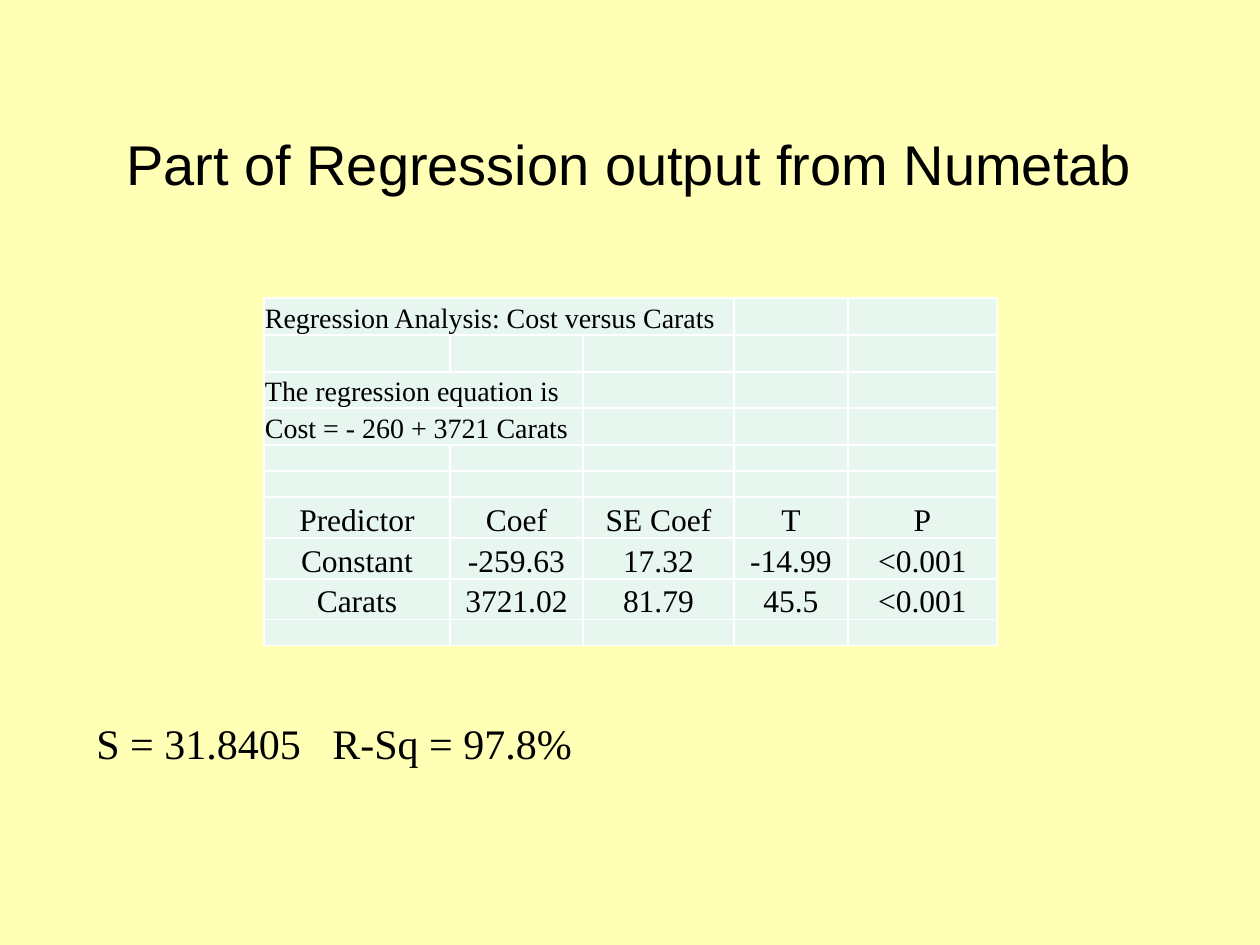
"""Build a slide that shows part of a regression output."""
from lxml.etree import SubElement
from pptx import Presentation
from pptx.dml.color import RGBColor
from pptx.enum.text import MSO_ANCHOR, PP_ALIGN
from pptx.oxml.ns import qn
from pptx.util import Pt

SCALE = 914400 // 126
INK = {"page": "FFFFB6", "cell": "E7F6EF", "line": "FFFFFF", "text": "000000"}
SERIF = "Times New Roman"
COLS = [186, 133, 151, 114, 149]
ROWS = [37, 37, 36, 37, 26, 26, 41, 41, 41, 26]
HEADS = {
    0: ("Regression Analysis: Cost versus Carats", 3),
    2: ("The regression equation is", 2),
    3: ("Cost = - 260 + 3721 Carats", 2),
}
STATS = {
    6: ["Predictor", "Coef", "SE Coef", "T", "P"],
    7: ["Constant", "-259.63", "17.32", "-14.99", "<0.001"],
    8: ["Carats", "3721.02", "81.79", "45.5", "<0.001"],
}


def px(num):
    return round(num * SCALE)


def paint(fill, name):
    fill.solid()
    fill.fore_color.rgb = RGBColor.from_string(INK[name])


def write(frame, text, size, face, align=PP_ALIGN.LEFT):
    frame.text = text
    para = frame.paragraphs[0]
    para.alignment = align
    for run in para.runs:
        run.font.size = Pt(size)
        run.font.name = face
        run.font.color.rgb = RGBColor.from_string(INK["text"])
    return para


def add_text(slide, box, text, size, face, align, anchor):
    frame = slide.shapes.add_textbox(*map(px, box)).text_frame
    frame.word_wrap = True
    frame.vertical_anchor = anchor
    return write(frame, text, size, face, align)


def add_tab(para, stop):
    tabs = SubElement(para._p.get_or_add_pPr(), qn("a:tabLst"))
    SubElement(tabs, qn("a:tab"), pos=str(px(stop)), algn="l")


def style(cell):
    cell.margin_left = cell.margin_right = cell.margin_top = px(1)
    cell.margin_bottom = 0
    cell.vertical_anchor = MSO_ANCHOR.BOTTOM
    props = cell._tc.get_or_add_tcPr()
    for side in "LRTB":
        line = SubElement(props, qn("a:ln" + side), w=str(Pt(1)))
        fill = SubElement(line, qn("a:solidFill"))
        SubElement(fill, qn("a:srgbClr"), val=INK["line"])
    paint(cell.fill, "cell")
    para = cell.text_frame.paragraphs[0]
    if not para.runs:
        SubElement(para._p, qn("a:endParaRPr"), sz="1000")


def add_grid(slide, left, top):
    shape = slide.shapes.add_table(
        len(ROWS), len(COLS), px(left), px(top), px(sum(COLS)), px(sum(ROWS)))
    grid = shape.table
    grid.first_row = grid.horz_banding = False
    for col, wide in zip(grid.columns, COLS):
        col.width = px(wide)
    for row, high in zip(grid.rows, ROWS):
        row.height = px(high)
    for row, (text, span) in HEADS.items():
        grid.cell(row, 0).merge(grid.cell(row, span - 1))
        write(grid.cell(row, 0).text_frame, text, 16, SERIF)
    for row, texts in STATS.items():
        for col, text in enumerate(texts):
            write(grid.cell(row, col).text_frame, text, 18, SERIF, PP_ALIGN.CENTER)
    for cell in grid.iter_cells():
        style(cell)


def main():
    deck = Presentation()
    deck.slide_width, deck.slide_height = px(1260), px(945)
    slide = deck.slides.add_slide(deck.slide_layouts[6])
    paint(slide.background.fill, "page")
    add_grid(slide, 264, 298)
    add_text(slide, (94, 84, 1071, 158), "Part of Regression output from Numetab",
             32, "Arial", PP_ALIGN.CENTER, MSO_ANCHOR.MIDDLE)
    note = add_text(slide, (84, 711, 1091, 63), "S = 31.8405\tR-Sq = 97.8%",
                    24, SERIF, PP_ALIGN.LEFT, MSO_ANCHOR.TOP)
    add_tab(note, 236)
    deck.save("out.pptx")


main()
